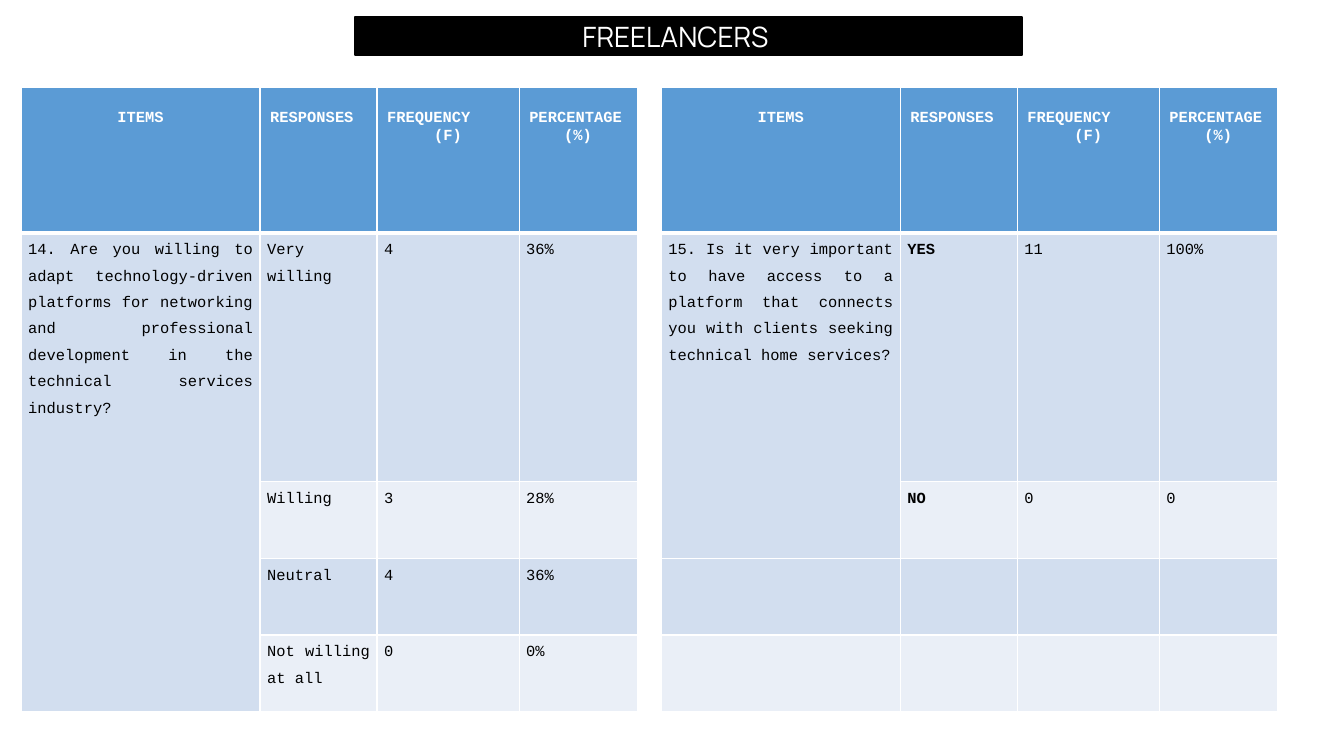
import dataclasses

import lxml.etree
import pptx
import pptx.dml.color
import pptx.enum.text
import pptx.oxml.ns
import pptx.util

Inches = pptx.util.Inches
Align = pptx.enum.text.PP_ALIGN
Anchor = pptx.enum.text.MSO_ANCHOR


@dataclasses.dataclass(frozen=True)
class Theme:
    black: str = "000000"
    white: str = "FFFFFF"
    header: str = "5B9BD5"
    bands: tuple = ("D2DEEF", "EAEFF7")
    title_font: str = "Manrope"
    table_font: str = "Courier New"
    title_size: int = 20
    table_size: int = 11
    border: int = 1
    header_border: int = 3


THEME = Theme()
COLUMNS = (2.37, 1.16, 1.41, 1.17)
ROWS = (1.44, 2.47, 0.76, 0.76, 0.76)
HEADINGS = (("ITEMS",), ("RESPONSES",), ("FREQUENCY", "(F)"), ("PERCENTAGE", "(%)"))
HEADING_MARGINS = (0.1, 0.22, 0.1, 0.05)
BODY_MARGINS = (0.07, 0, 0.07, 0)

WILLINGNESS = (
    "14. Are you willing to adapt technology-driven platforms for networking "
    "and professional development in the technical services industry?",
    (("Very willing", "4", "36%"), ("Willing", "3", "28%"),
     ("Neutral", "4", "36%"), ("Not willing at all", "0", "0%")),
)
ACCESS = (
    "15. Is it very important to have access to a platform that connects you "
    "with clients seeking technical home services?",
    (("YES", "11", "100%"), ("NO", "0", "0")),
)


def rgb(color):
    return pptx.dml.color.RGBColor.from_string(color)


def write(para, text, font=THEME.table_font, size=THEME.table_size,
          color=THEME.black, bold=False, align=Align.LEFT, spacing=1.0):
    para.alignment = align
    para.line_spacing = spacing
    span = para.add_run()
    span.text = text
    span.font.name = font
    span.font.size = pptx.util.Pt(size)
    span.font.bold = bold
    span.font.color.rgb = rgb(color)


def set_margins(target, margins):
    (target.margin_left, target.margin_top,
     target.margin_right, target.margin_bottom) = map(Inches, margins)


def add_border(cell, side, width):
    properties = cell._tc.get_or_add_tcPr()
    line = lxml.etree.SubElement(
        properties, pptx.oxml.ns.qn(f"a:ln{side}"), w=str(pptx.util.Pt(width)))
    fill = lxml.etree.SubElement(line, pptx.oxml.ns.qn("a:solidFill"))
    lxml.etree.SubElement(fill, pptx.oxml.ns.qn("a:srgbClr"), val=THEME.white)


def style_cell(cell, row):
    thick_side = {0: "B", 1: "T"}.get(row)
    for side in "LRTB":
        add_border(cell, side,
                   THEME.header_border if side == thick_side else THEME.border)
    cell.fill.solid()
    cell.fill.fore_color.rgb = rgb(
        THEME.bands[(row - 1) % 2] if row else THEME.header)
    set_margins(cell, BODY_MARGINS if row else HEADING_MARGINS)


def write_heading(cell, lines, first_align):
    for index, line in enumerate(lines):
        frame = cell.text_frame
        para = frame.add_paragraph() if index else frame.paragraphs[0]
        write(para, line, color=THEME.white, bold=True,
              align=Align.CENTER if index else first_align)


def write_body(cell, text, bold=False):
    write(cell.text_frame.paragraphs[0], text, bold=bold,
          align=Align.JUSTIFY, spacing=1.5)


def add_survey_table(page, left, top, question, answers, bold_responses=False):
    table = page.shapes.add_table(
        len(ROWS), len(COLUMNS), Inches(left), Inches(top),
        Inches(sum(COLUMNS)), Inches(sum(ROWS))).table
    table.horz_banding = False
    for column, width in zip(table.columns, COLUMNS):
        column.width = Inches(width)
    for row, height in enumerate(ROWS):
        table.rows[row].height = Inches(height)
        for column in range(len(COLUMNS)):
            style_cell(table.cell(row, column), row)
    for column, lines in enumerate(HEADINGS):
        write_heading(table.cell(0, column), lines,
                      Align.LEFT if column else Align.CENTER)
    table.cell(1, 0).merge(table.cell(len(answers), 0))
    write_body(table.cell(1, 0), question)
    for row, answer in enumerate(answers, 1):
        for column, text in enumerate(answer, 1):
            write_body(table.cell(row, column), text,
                       bold=bold_responses and column == 1)


def add_title(page, left, top, width, height):
    title = page.shapes.title
    title.left, title.top, title.width, title.height = map(
        Inches, (left, top, width, height))
    title.fill.solid()
    title.fill.fore_color.rgb = rgb(THEME.black)
    title.line.color.rgb = rgb(THEME.black)
    title.line.width = pptx.util.Pt(1.5)
    frame = title.text_frame
    frame.word_wrap = True
    frame.auto_size = pptx.enum.text.MSO_AUTO_SIZE.NONE
    frame.vertical_anchor = Anchor.MIDDLE
    set_margins(frame, (0.1, 0.05, 0.36, 0.05))
    write(frame.paragraphs[0], "FREELANCERS", font=THEME.title_font,
          size=THEME.title_size, color=THEME.white, align=Align.CENTER)


def main():
    deck = pptx.Presentation()
    deck.slide_width, deck.slide_height = Inches(13.33), Inches(7.5)
    page = deck.slides.add_slide(deck.slide_layouts[5])
    add_survey_table(page, 0.21, 0.87, *WILLINGNESS)
    add_survey_table(page, 6.56, 0.87, *ACCESS, bold_responses=True)
    add_title(page, 3.52, 0.17, 6.62, 0.38)
    deck.save("out.pptx")


if __name__ == "__main__":
    main()
